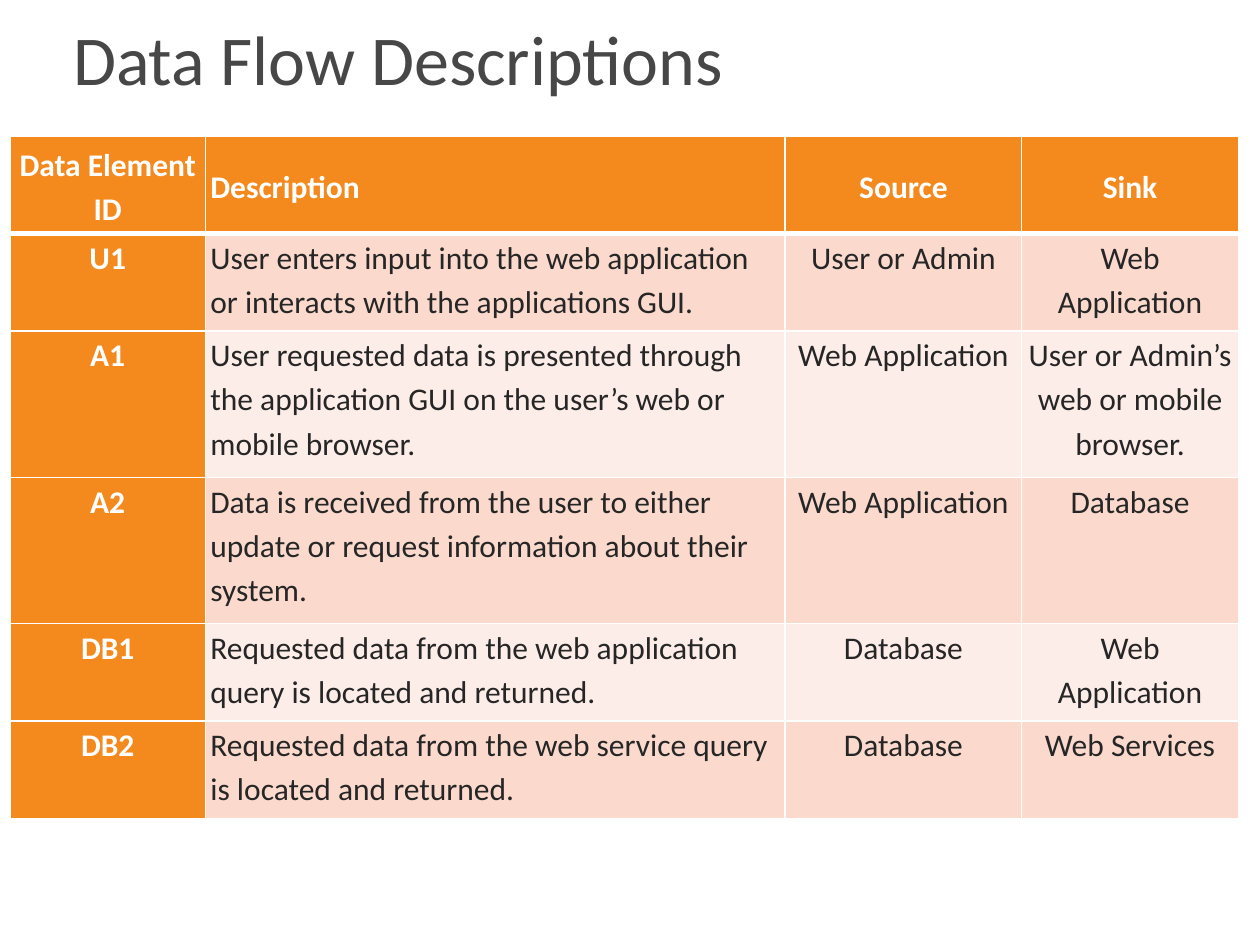
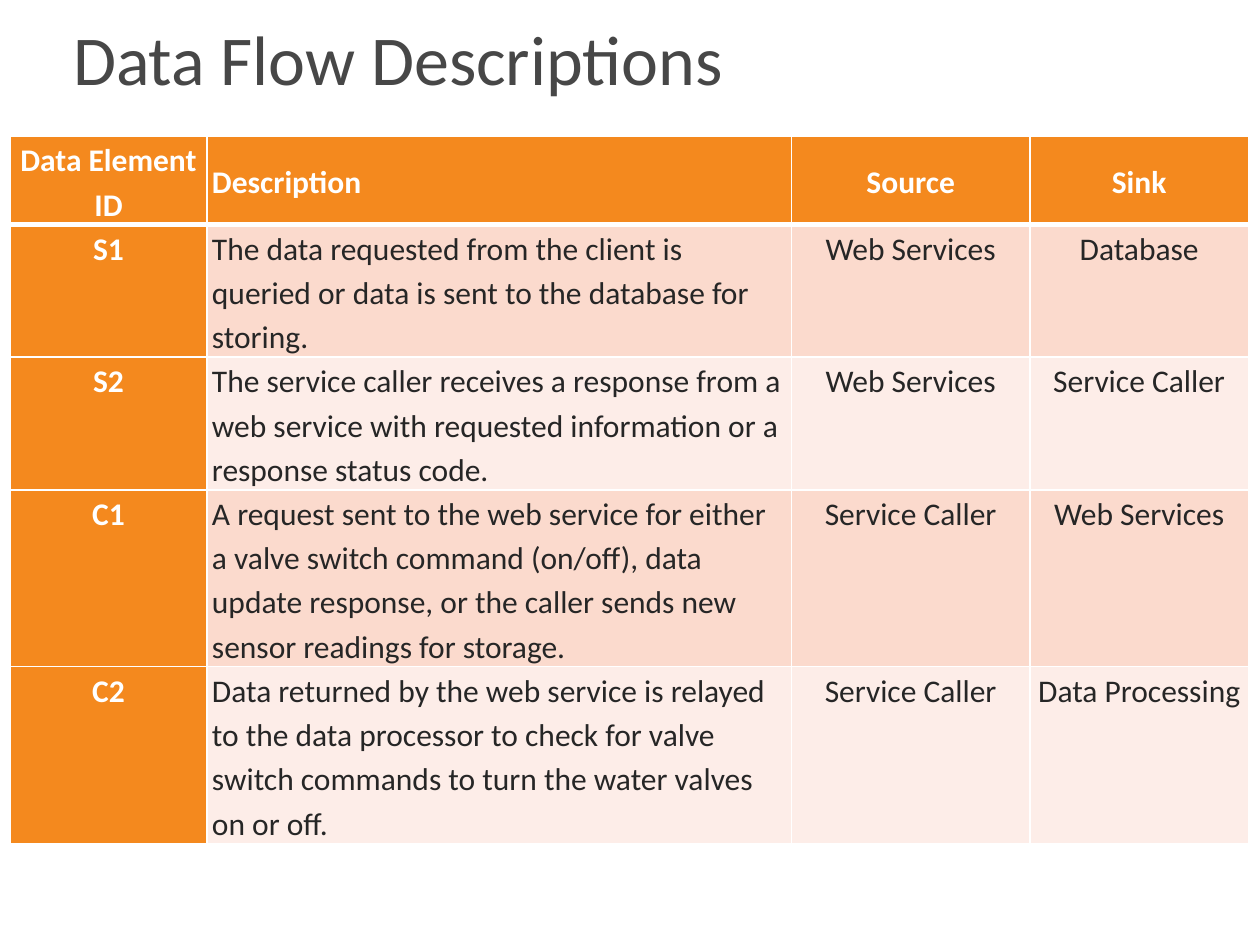
from pptx import Presentation
from pptx.dml.color import RGBColor
from pptx.enum.text import MSO_ANCHOR, PP_ALIGN
from pptx.util import Inches, Pt
from lxml.etree import SubElement
from pptx.oxml.ns import qn

COLORS = {
    "title": "474747",
    "head": "F4891E",
    "odd": "FBDACD",
    "even": "FDEDE8",
    "text": "262626",
    "white": "FFFFFF",
}
TITLE = "Data Flow Descriptions"
HEADINGS = ("Data Element ID", "Description", "Source", "Sink")
COLUMN_PERCENTS = (15.9, 47.2, 19.25, 17.65)

USER_FLOWS = [
    ("U1", "User enters input into the web application or interacts with the applications GUI.",
     "User or Admin", "Web Application"),
    ("A1", "User requested data is presented through the application GUI on the user’s web or mobile browser.",
     "Web Application", "User or Admin’s web or mobile browser."),
    ("A2", "Data is received from the user to either update or request information about their system.",
     "Web Application", "Database"),
    ("DB1", "Requested data from the web application query is located and returned.",
     "Database", "Web Application"),
    ("DB2", "Requested data from the web service query is located and returned.",
     "Database", "Web Services"),
]
SERVICE_FLOWS = [
    ("S1", "The data requested from the client is queried or data is sent to the database for storing.",
     "Web Services", "Database"),
    ("S2", "The service caller receives a response from a web service with requested information "
     "or a response status code.",
     "Web Services", "Service Caller"),
    ("C1", "A request sent to the web service for either a valve switch command (on/off), "
     "data update response, or the caller sends new sensor readings for storage.",
     "Service Caller", "Web Services"),
    ("C2", "Data returned by the web service is relayed to the data processor to check for valve "
     "switch commands to turn the water valves on or off.",
     "Service Caller", "Data Processing"),
]


class Deck:
    font = "Calibri"
    columns, rows = 100, 75

    def __init__(self):
        self.prs = Presentation()
        self.prs.slide_width, self.prs.slide_height = Inches(10), Inches(7.5)
        self.s = None

    def x(self, columns):
        return round(self.prs.slide_width * columns / self.columns)

    def y(self, rows):
        return round(self.prs.slide_height * rows / self.rows)

    def run(self, p, text, size, color, bold=False):
        r = p.add_run()
        r.text = text
        r.font.name, r.font.size, r.font.bold = self.font, Pt(size), bold
        r.font.color.rgb = RGBColor.from_string(COLORS[color])

    def slide(self, title):
        self.s = self.prs.slides.add_slide(self.prs.slide_layouts[5])
        sp = self.s.shapes.title
        sp.left, sp.top = self.x(4.8), self.y(0.8)
        sp.width, sp.height = self.x(91.9), self.y(7.5)
        tf = sp.text_frame
        tf.vertical_anchor = MSO_ANCHOR.MIDDLE
        p = tf.paragraphs[0]
        p.alignment = PP_ALIGN.LEFT
        self.run(p, title, 40, "title")

    def borders(self, cell, row):
        tc_pr = cell._tc.get_or_add_tcPr()
        widths = {"lnL": 1, "lnR": 1, "lnT": 3 if row == 1 else 1, "lnB": 3 if row == 0 else 1}
        for side, width in widths.items():
            ln = SubElement(tc_pr, qn(f"a:{side}"), w=str(Pt(width)))
            fill = SubElement(ln, qn("a:solidFill"))
            SubElement(fill, qn("a:srgbClr"), val=COLORS["white"])

    def cell(self, cell, text, row, column):
        heading = row == 0 or column == 0
        self.borders(cell, row)
        cell.fill.solid()
        color = "head" if heading else "odd" if row % 2 else "even"
        cell.fill.fore_color.rgb = RGBColor.from_string(COLORS[color])
        cell.margin_left = cell.margin_right = Inches(0.04)
        cell.margin_top = cell.margin_bottom = 0
        cell.vertical_anchor = MSO_ANCHOR.TOP if row else MSO_ANCHOR.MIDDLE
        p = cell.text_frame.paragraphs[0]
        p.alignment = PP_ALIGN.LEFT if column == 1 else PP_ALIGN.CENTER
        p.line_spacing, p.space_after = 1.15, Pt(10)
        self.run(p, text, 18, "white" if heading else "text", heading)

    def table(self, flows, width, line_height, line_counts):
        records = [HEADINGS, *flows]
        frame = self.s.shapes.add_table(
            len(records), len(HEADINGS), self.x(0.8), self.y(10.8),
            self.x(width), self.y(line_height * sum(line_counts)))
        table = frame.table
        table.horz_banding = False
        for column, percent in zip(table.columns, COLUMN_PERCENTS):
            column.width = self.x(width * percent / 100)
        for row, lines in zip(table.rows, line_counts):
            row.height = self.y(line_height * lines)
        for i, record in enumerate(records):
            for j, text in enumerate(record):
                self.cell(table.cell(i, j), text, i, j)


def main():
    deck = Deck()
    deck.slide(TITLE)
    deck.table(USER_FLOWS, 97.5, 3.87, (2, 2, 3, 3, 2, 2))
    deck.slide(TITLE)
    deck.table(SERVICE_FLOWS, 98.3, 3.38, (2, 3, 3, 4, 4))
    deck.prs.save("out.pptx")


if __name__ == "__main__":
    main()
